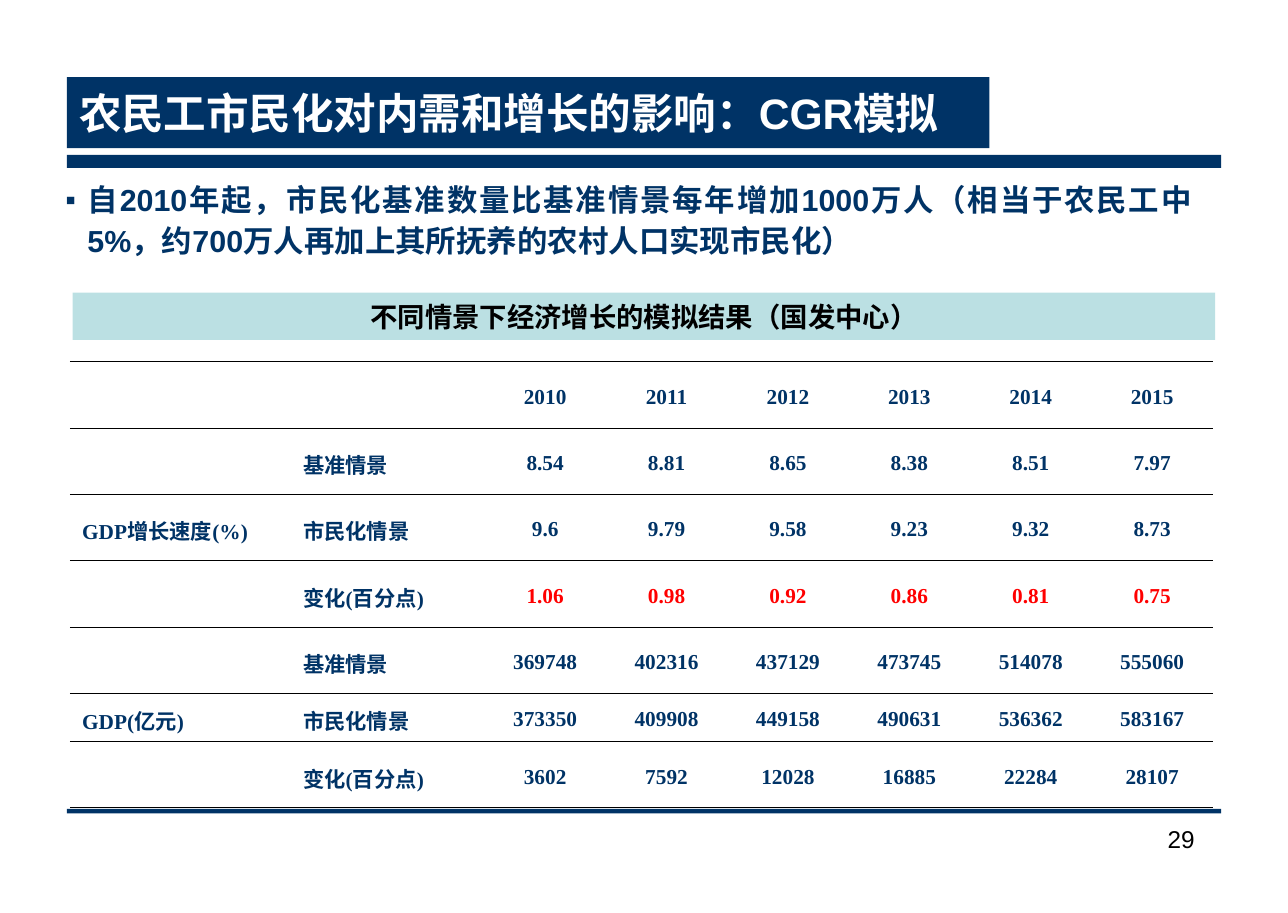
"""Build the slide on simulated growth effects of settling migrant workers."""
from dataclasses import dataclass

from lxml import etree
from pptx import Presentation
from pptx.dml.color import RGBColor
from pptx.enum.shapes import MSO_SHAPE
from pptx.enum.text import MSO_ANCHOR, MSO_AUTO_SIZE, PP_ALIGN
from pptx.oxml.ns import qn
from pptx.util import Pt

RECTANGLE = MSO_SHAPE.RECTANGLE
TOP, MIDDLE = MSO_ANCHOR.TOP, MSO_ANCHOR.MIDDLE
FIXED_SIZE = MSO_AUTO_SIZE.NONE
LEFT, CENTER, RIGHT, JUSTIFY = (
    PP_ALIGN.LEFT, PP_ALIGN.CENTER, PP_ALIGN.RIGHT, PP_ALIGN.JUSTIFY)

COLORS = {"navy": "003366", "pale": "BBE0E3", "white": "FFFFFF",
          "black": "000000", "red": "FF0000"}
TITLE_ONLY_LAYOUT = 5
THIN, THICK = 0.45, 0.75


@dataclass(frozen=True)
class Area:
    left: float
    top: float
    width: float
    height: float

    def lengths(self) -> tuple:
        return tuple(Pt(v) for v in (self.left, self.top, self.width, self.height))


@dataclass(frozen=True)
class Style:
    size: float
    color: str
    bold: bool = True
    font: str = "Arial"
    align: PP_ALIGN = LEFT
    anchor: MSO_ANCHOR = MIDDLE


@dataclass(frozen=True)
class TableRow:
    group: str
    label: str
    values: tuple
    height: float = 43.7
    color: str = "navy"


BARS = (Area(44, 102, 759.6, 8.5), Area(44, 532.5, 759.6, 3))
TITLE_AREA = Area(44, 50.8, 607, 46.8)
BODY_AREA = Area(35.6, 113, 756.5, 62.6)
CAPTION_AREA = Area(47.7, 192.7, 751.9, 31)
TABLE_AREA = Area(46, 238, 752.4, 291)
NUMBER_AREA = Area(730, 538.4, 64, 41.8)
COLUMN_WIDTHS = (145.4, 127.4) + (79.9,) * 6

ROWS = (
    TableRow("", "", ("2010", "2011", "2012", "2013", "2014", "2015")),
    TableRow("", "基准情景", ("8.54", "8.81", "8.65", "8.38", "8.51", "7.97")),
    TableRow("GDP增长速度(%)", "市民化情景",
             ("9.6", "9.79", "9.58", "9.23", "9.32", "8.73")),
    TableRow("", "变化(百分点)",
             ("1.06", "0.98", "0.92", "0.86", "0.81", "0.75"), color="red"),
    TableRow("", "基准情景",
             ("369748", "402316", "437129", "473745", "514078", "555060")),
    TableRow("GDP(亿元)", "市民化情景",
             ("373350", "409908", "449158", "490631", "536362", "583167"), 28.8),
    TableRow("", "变化(百分点)",
             ("3602", "7592", "12028", "16885", "22284", "28107")),
)


def rgb(name: str) -> RGBColor:
    return RGBColor.from_string(COLORS[name])


def format_para(para, style: Style) -> None:
    para.alignment = style.align
    for span in para.runs:
        span.font.name = style.font
        span.font.size = Pt(style.size)
        span.font.bold = style.bold
        span.font.color.rgb = rgb(style.color)


def write(shape, text: str, style: Style, wrap: bool = True) -> None:
    frame = shape.text_frame
    frame.text = text
    frame.word_wrap = wrap
    frame.auto_size = FIXED_SIZE
    frame.vertical_anchor = style.anchor
    frame.margin_left = frame.margin_right = Pt(8)
    frame.margin_top = frame.margin_bottom = Pt(4.2)
    format_para(frame.paragraphs[0], style)


def add_rectangle(page, area: Area, color: str):
    shape = page.shapes.add_shape(RECTANGLE, *area.lengths())
    shape.shadow.inherit = False
    shape.fill.solid()
    shape.fill.fore_color.rgb = rgb(color)
    shape.line.fill.background()
    return shape


def add_text(page, area: Area, text: str, style: Style):
    box = page.shapes.add_textbox(*area.lengths())
    write(box, text, style)
    return box


def add_title(page) -> None:
    title = page.shapes.title
    title.left, title.top, title.width, title.height = TITLE_AREA.lengths()
    title.fill.solid()
    title.fill.fore_color.rgb = rgb("navy")
    write(title, "农民工市民化对内需和增长的影响：CGR模拟", Style(28, "white"))


def add_bullet(para) -> None:
    properties = para._p.get_or_add_pPr()
    properties.set("marL", str(Pt(14)))
    properties.set("indent", str(Pt(-14)))
    color = etree.SubElement(properties, qn("a:buClr"))
    etree.SubElement(color, qn("a:srgbClr"), val=COLORS["navy"])
    etree.SubElement(properties, qn("a:buSzPct"), val="50000")
    etree.SubElement(properties, qn("a:buFont"), typeface="Arial")
    etree.SubElement(properties, qn("a:buChar"), char="■")
    para.line_spacing = 1.1
    para.space_after = Pt(5)


def set_borders(cell, top: float, bottom: float) -> None:
    properties = cell._tc.get_or_add_tcPr()
    widths = {"a:lnL": 0, "a:lnR": 0, "a:lnT": top, "a:lnB": bottom}
    for position, (tag, width) in enumerate(widths.items()):
        line = etree.Element(qn(tag), w=str(Pt(width)))
        if width:
            fill = etree.SubElement(line, qn("a:solidFill"))
            etree.SubElement(fill, qn("a:srgbClr"), val=COLORS["black"])
        else:
            etree.SubElement(line, qn("a:noFill"))
        properties.insert(position, line)


def fill_cell(cell, text: str, style: Style) -> None:
    cell.fill.background()
    cell.vertical_anchor = style.anchor
    cell.margin_left = cell.margin_right = Pt(8)
    cell.margin_top = cell.margin_bottom = Pt(3.6)
    if text:
        cell.text_frame.text = text
        para = cell.text_frame.paragraphs[0]
        para.line_spacing = 1.2
        format_para(para, style)


def add_results_table(page) -> None:
    table = page.shapes.add_table(
        len(ROWS), len(COLUMN_WIDTHS), *TABLE_AREA.lengths()).table
    table.first_row = table.horz_banding = False
    for column, width in zip(table.columns, COLUMN_WIDTHS):
        column.width = Pt(width)
    last = len(ROWS) - 1
    for index, row in enumerate(ROWS):
        table.rows[index].height = Pt(row.height)
        for position, text in enumerate((row.group, row.label, *row.values)):
            is_value = position > 1
            style = Style(14, row.color if is_value else "navy",
                          font="Times New Roman",
                          align=CENTER if is_value else LEFT)
            cell = table.cell(index, position)
            fill_cell(cell, text, style)
            set_borders(cell, THICK if index == 0 else THIN,
                        THICK if index == last else THIN)


def main() -> None:
    deck = Presentation()
    deck.slide_width, deck.slide_height = Pt(847.5), Pt(601)
    page = deck.slides.add_slide(deck.slide_layouts[TITLE_ONLY_LAYOUT])
    for area in BARS:
        add_rectangle(page, area, "navy")
    add_title(page)
    body = add_text(
        page, BODY_AREA,
        "自2010年起，市民化基准数量比基准情景每年增加1000万人（相当于农民工中5%，"
        "约700万人再加上其所抚养的农村人口实现市民化）",
        Style(20, "navy", align=JUSTIFY, anchor=TOP))
    add_bullet(body.text_frame.paragraphs[0])
    add_results_table(page)
    caption = add_rectangle(page, CAPTION_AREA, "pale")
    write(caption, "不同情景下经济增长的模拟结果（国发中心）",
          Style(18, "black", align=CENTER), wrap=False)
    add_text(page, NUMBER_AREA, "29",
             Style(16, "black", bold=False, align=RIGHT, anchor=TOP))
    deck.save("out.pptx")


if __name__ == "__main__":
    main()
